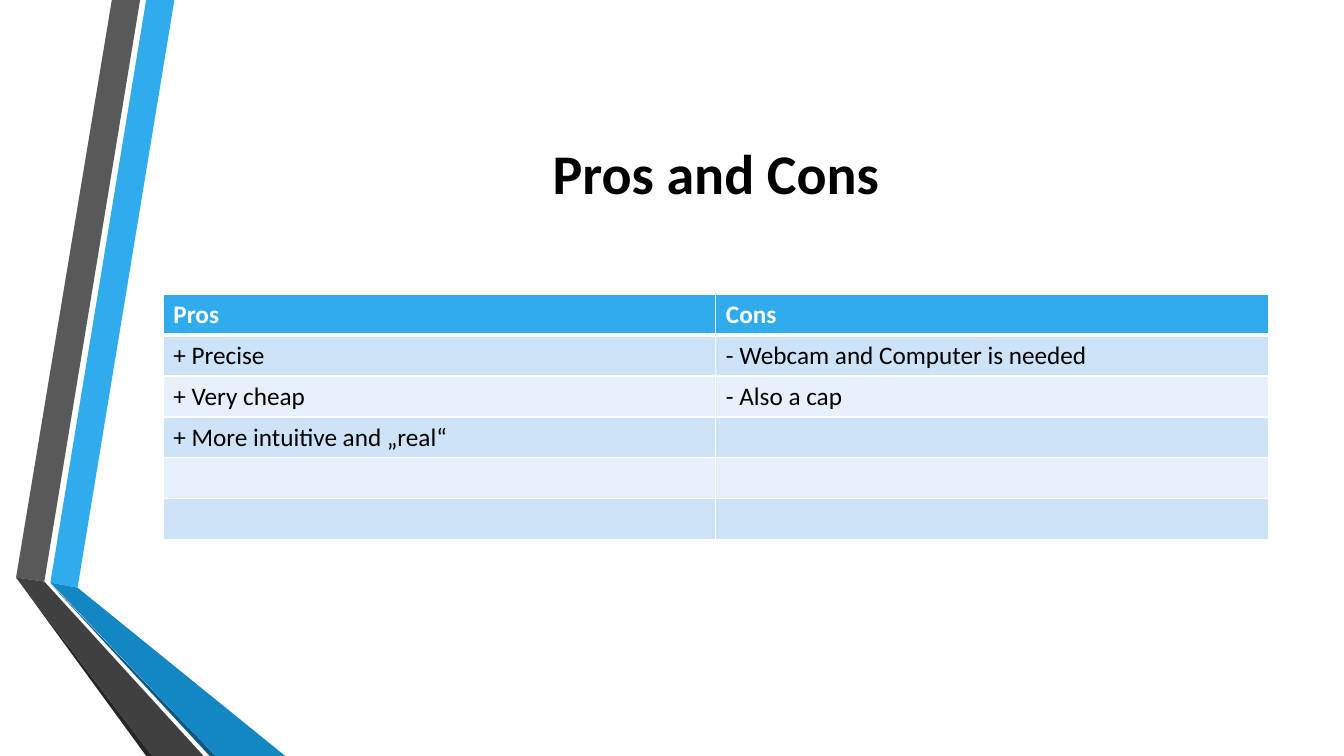
import pptx
import pptx.util
import pptx.dml.color
import pptx.enum.text
import pptx.oxml
import pptx.oxml.ns
from dataclasses import dataclass

Inches, Pt = pptx.util.Inches, pptx.util.Pt

# Content
TITLE = "Pros and Cons"
ROWS = [
    ("Pros", "Cons"),
    ("+ Precise", "- Webcam and Computer is needed"),
    ("+ Very cheap", "- Also a cap"),
    ("+ More intuitive and „real“", ""),
    ("", ""),
    ("", ""),
]


@dataclass(frozen=True)
class Theme:
    font: str = "Calibri"
    black: str = "000000"
    white: str = "FFFFFF"
    blue: str = "30ACEC"
    mid: str = "1287C3"
    deep: str = "0C5A82"
    gray: str = "595959"
    dark: str = "404040"
    ink: str = "262626"
    bands: tuple = ("CDE3F8", "E8F1FB")
    head: int = 40
    body: int = 18


theme = Theme()

# Ribbon outlines in inches, back to front
RIBBONS = [
    (theme.blue, [(0.5, 5.78), (0.77, 5.83), (1.73, 0), (1.45, 0)]),
    (theme.gray, [(1.39, 0), (1.11, 0), (0.16, 5.73), (0.44, 5.77)]),
    (theme.ink, [(0.16, 5.73), (1.45, 7.5), (1.51, 7.5)]),
    (theme.deep, [(0.5, 5.79), (2.08, 7.5), (2.14, 7.5)]),
    (theme.mid, [(0.5, 5.78), (2.14, 7.5), (2.83, 7.5), (0.77, 5.83)]),
    (theme.dark, [(2.02, 7.5), (0.44, 5.77), (0.16, 5.73), (1.51, 7.5)]),
]
LEFT, WIDTH = 1.62, 10.96
TITLE_TOP, TITLE_HIGH = 0.75, 1.92
GRID_TOP, ROW_HIGH = 2.92, 0.405


def rgb(color):
    return pptx.dml.color.RGBColor.from_string(color)


def style(para, size, color, bold):
    font = para.font
    font.name, font.size, font.bold = theme.font, Pt(size), bold
    font.color.rgb = rgb(color)


def ribbon(slide, color, points):
    spots = [(Inches(x), Inches(y)) for x, y in points]
    pen = slide.shapes.build_freeform(*spots[0])
    pen.add_line_segments(spots[1:], close=True)
    shape = pen.convert_to_shape()
    shape.shadow.inherit = False
    shape.fill.solid()
    shape.fill.fore_color.rgb = rgb(color)
    shape.line.fill.background()


def border(cell, side, width):
    line = pptx.oxml.parse_xml(
        f'<a:ln{side} {pptx.oxml.ns.nsdecls("a")} w="{Pt(width)}">'
        f'<a:solidFill><a:srgbClr val="{theme.white}"/></a:solidFill>'
        f'</a:ln{side}>'
    )
    cell._tc.get_or_add_tcPr().append(line)


def fill_cell(cell, text, row):
    # Thick rule between the header and the first row
    thick = {(0, "B"), (1, "T")}
    for side in "LRTB":
        border(cell, side, 3 if (row, side) in thick else 1)
    header = row == 0
    cell.fill.solid()
    cell.fill.fore_color.rgb = rgb(theme.blue if header else theme.bands[(row - 1) % 2])
    cell.text = text
    style(cell.text_frame.paragraphs[0], theme.body,
          theme.white if header else theme.black, header)


def main():
    deck = pptx.Presentation()
    deck.slide_width, deck.slide_height = Inches(13.33), Inches(7.5)
    slide = deck.slides.add_slide(deck.slide_layouts[5])

    # Ribbons
    for color, points in RIBBONS:
        ribbon(slide, color, points)

    # Title
    title = slide.shapes.title
    title.left, title.top = Inches(LEFT), Inches(TITLE_TOP)
    title.width, title.height = Inches(WIDTH), Inches(TITLE_HIGH)
    title.text_frame.text = TITLE
    title.text_frame.vertical_anchor = pptx.enum.text.MSO_ANCHOR.MIDDLE
    para = title.text_frame.paragraphs[0]
    para.alignment = pptx.enum.text.PP_ALIGN.CENTER
    style(para, theme.head, theme.black, True)

    # Table
    table = slide.shapes.add_table(
        len(ROWS), len(ROWS[0]), Inches(LEFT), Inches(GRID_TOP),
        Inches(WIDTH), Inches(ROW_HIGH * len(ROWS))).table
    for row, texts in enumerate(ROWS):
        for col, text in enumerate(texts):
            fill_cell(table.cell(row, col), text, row)

    deck.save("out.pptx")


if __name__ == "__main__":
    main()
